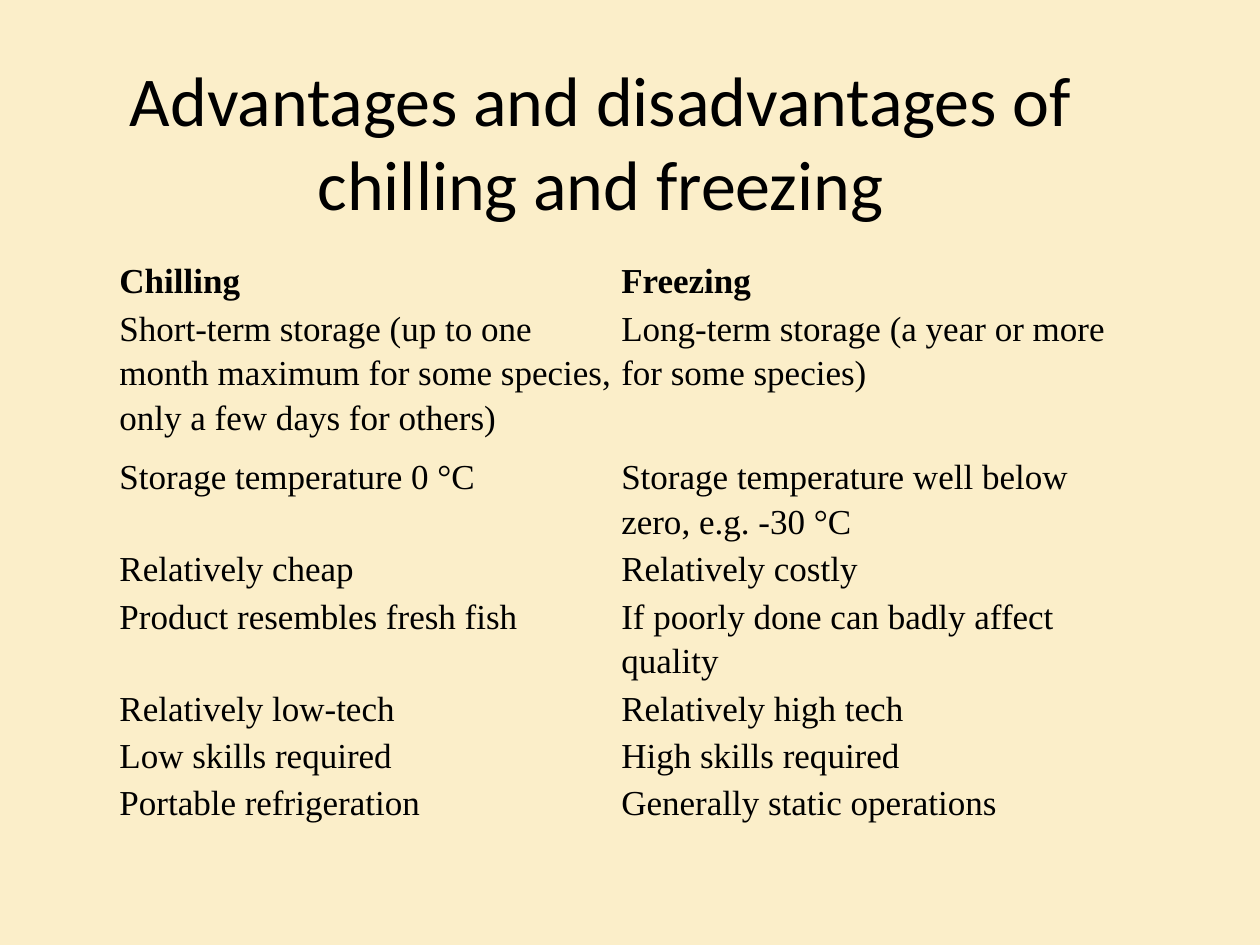
import pptx
import pptx.dml.color
import pptx.enum.text
import pptx.oxml.ns
import pptx.util

Pt = pptx.util.Pt
BLACK = pptx.dml.color.RGBColor(0x00, 0x00, 0x00)
CREAM = pptx.dml.color.RGBColor(0xFB, 0xEE, 0xC9)
NO_STYLE_NO_GRID = "{2D5ABB26-0587-4C30-8999-92F81FD0307C}"

HEADING = "Advantages and disadvantages of chilling and freezing"
COMPARISON = [
    # chilling, freezing, row height
    ("Chilling", "Freezing", 27),
    ("Short-term storage (up to one month maximum for some species, only a few days for others)",
     "Long-term storage (a year or more for some species)", 85),
    ("Storage temperature 0 °C", "Storage temperature well below zero, e.g. -30 °C", 52),
    ("Relatively cheap", "Relatively costly", 27),
    ("Product resembles fresh fish", "If poorly done can badly affect quality", 52),
    ("Relatively low-tech", "Relatively high tech", 27),
    ("Low skills required", "High skills required", 27),
    ("Portable refrigeration", "Generally static operations", 27),
]
LEFT, TOP, COLUMN_WIDTH = 67.5, 146, 286.8
CELL_MARGIN = 0.75


def add_run(paragraph, text, size, font_name, bold=False):
    run = paragraph.add_run()
    run.text = text
    run.font.size = Pt(size)
    run.font.name = font_name
    run.font.bold = bold
    run.font.color.rgb = BLACK


def fill_cell(cell, text, bold):
    cell.fill.background()
    cell.margin_left = cell.margin_right = Pt(CELL_MARGIN)
    cell.margin_top = cell.margin_bottom = Pt(CELL_MARGIN)
    paragraph = cell.text_frame.paragraphs[0]
    paragraph.line_spacing = 1.15
    paragraph.space_after = Pt(10)
    add_run(paragraph, text, 20, "Times New Roman", bold)


def add_comparison(slide):
    total_height = sum(height for _, _, height in COMPARISON)
    frame = slide.shapes.add_table(len(COMPARISON), 2, Pt(LEFT), Pt(TOP),
                                   Pt(2 * COLUMN_WIDTH), Pt(total_height))
    table = frame.table
    table.first_row = table.horz_banding = False
    style = frame.element.find(".//" + pptx.oxml.ns.qn("a:tableStyleId"))
    style.text = NO_STYLE_NO_GRID
    for column in table.columns:
        column.width = Pt(COLUMN_WIDTH)
    for row_index, (chilling, freezing, height) in enumerate(COMPARISON):
        table.rows[row_index].height = Pt(height)
        for column_index, text in enumerate((chilling, freezing)):
            fill_cell(table.cell(row_index, column_index), text, bold=row_index == 0)


def add_heading(slide):
    heading = slide.shapes.title
    heading.left, heading.top = Pt(34), Pt(28)
    heading.width, heading.height = Pt(618.5), Pt(104.5)
    text_frame = heading.text_frame
    text_frame.word_wrap = True
    text_frame.auto_size = pptx.enum.text.MSO_AUTO_SIZE.NONE
    text_frame.vertical_anchor = pptx.enum.text.MSO_ANCHOR.MIDDLE
    paragraph = text_frame.paragraphs[0]
    paragraph.alignment = pptx.enum.text.PP_ALIGN.CENTER
    add_run(paragraph, HEADING, 40, "Calibri")


def main():
    presentation = pptx.Presentation()
    presentation.slide_width, presentation.slide_height = Pt(720), Pt(540)
    slide = presentation.slides.add_slide(presentation.slide_layouts[5])
    slide.background.fill.solid()
    slide.background.fill.fore_color.rgb = CREAM
    add_heading(slide)
    add_comparison(slide)
    presentation.save("out.pptx")


if __name__ == "__main__":
    main()
